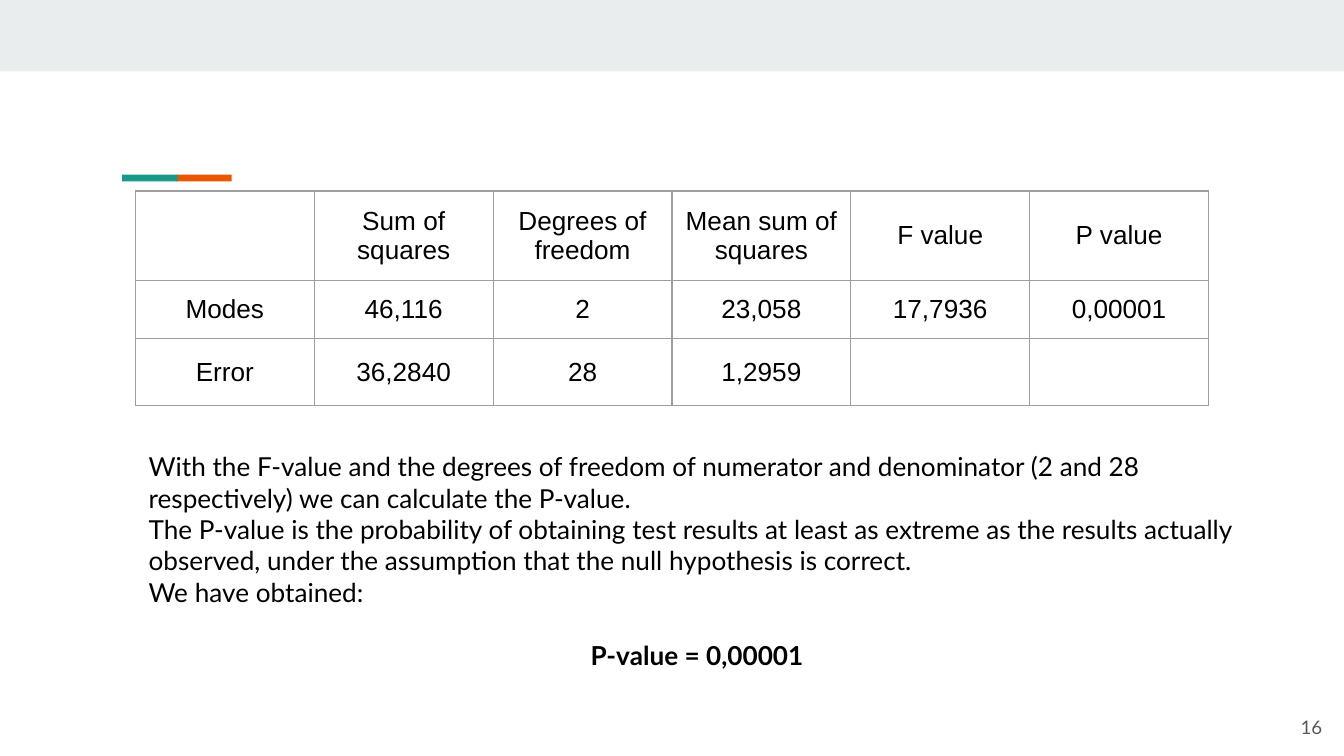
from lxml.etree import fromstring
from pptx import Presentation
from pptx.dml.color import RGBColor
from pptx.enum.shapes import MSO_SHAPE as Kind
from pptx.enum.text import MSO_ANCHOR as Anchor, PP_ALIGN as Align
from pptx.util import Cm, Pt

NS = "http://schemas.openxmlformats.org/drawingml/2006/main"
BLACK, GREY = "000000", "595959"
PAD = Cm(0.25)

# left, top, width, height in cm, colour
BAND = (0, 0, 25.4, 1.35, "E9EDEE")
ACCENTS = [
    (1.45, 0, 0.07, 1.49, "EB5600"),
    (0, 0, 0.07, 1.49, "1A9988"),
]
ACCENT_BOX = (2.81, 2.01, 1.07, 2.71)

TABLE = [
    ["", "Sum of squares", "Degrees of freedom", "Mean sum of squares",
     "F value", "P value"],
    ["Modes", "46,116", "2", "23,058", "17,7936", "0,00001"],
    ["Error", "36,2840", "28", "1,2959", "", ""],
]
COL = 3.38
ROWS = [1.68, 1.1, 1.27]

NOTES = [
    "With the F-value and the degrees of freedom of numerator and denominator "
    "(2 and 28 respectively) we can calculate the P-value.",
    "The P-value is the probability of obtaining test results at least as "
    "extreme as the results actually observed, under the assumption that the "
    "null hypothesis is correct.",
    "We have obtained:",
]
RESULT = "P-value = 0,00001"
PAGE = "16"


def paint(part, color):
    part.rgb = RGBColor.from_string(color)


def style(para, size, font, color=BLACK, align=Align.LEFT, bold=False):
    para.alignment = align
    for run in para.runs:
        run.font.size, run.font.name, run.font.bold = Pt(size), font, bold
        paint(run.font.color, color)


def add_bar(shapes, x, y, w, h, color):
    bar = shapes.add_shape(Kind.RECTANGLE, Cm(x), Cm(y), Cm(w), Cm(h))
    bar.shadow.inherit = False
    bar.fill.solid()
    paint(bar.fill.fore_color, color)
    bar.line.fill.background()
    return bar


def add_accent(slide):
    """Lay the upright bars on their side and fit their group to its box."""
    group = slide.shapes.add_group_shape()
    for accent in ACCENTS:
        add_bar(group.shapes, *accent).rotation = 270
    group.left, group.top, group.width, group.height = map(Cm, ACCENT_BOX)


def add_text(slide, x, y, w, h, lines):
    frame = slide.shapes.add_textbox(Cm(x), Cm(y), Cm(w), Cm(h)).text_frame
    frame.word_wrap = True
    frame.margin_left = frame.margin_right = PAD
    frame.margin_top = frame.margin_bottom = PAD
    frame.text = "\n".join(lines)
    return frame


def add_edges(cell):
    """Draw a thin grey line on all four sides of the cell."""
    props = cell._tc.get_or_add_tcPr()
    for i, side in enumerate("LRTB"):
        props.insert(i, fromstring(
            f'<a:ln{side} xmlns:a="{NS}" w="{Pt(0.75)}"><a:solidFill>'
            f'<a:srgbClr val="9E9E9E"/></a:solidFill></a:ln{side}>'))


def add_grid(slide, x, y):
    wide = COL * len(TABLE[0])
    grid = slide.shapes.add_table(len(TABLE), len(TABLE[0]), Cm(x), Cm(y),
                                  Cm(wide), Cm(sum(ROWS))).table
    grid.first_row = grid.horz_banding = False
    for col in grid.columns:
        col.width = Cm(COL)
    for row, high, words in zip(grid.rows, ROWS, TABLE):
        row.height = Cm(high)
        for cell, word in zip(row.cells, words):
            cell.margin_left = cell.margin_right = PAD
            cell.margin_top = cell.margin_bottom = PAD
            cell.vertical_anchor = Anchor.MIDDLE
            cell.fill.background()
            add_edges(cell)
            cell.text = word
            style(cell.text_frame.paragraphs[0], 14, "Arial",
                  align=Align.CENTER)


def main():
    deck = Presentation()
    deck.slide_width, deck.slide_height = Cm(25.4), Cm(14.29)
    slide = deck.slides.add_slide(deck.slide_layouts[6])

    add_bar(slide.shapes, *BAND)
    add_accent(slide)

    page = add_text(slide, 23.72, 13.19, 1.52, 1.09, [PAGE])
    page.vertical_anchor = Anchor.MIDDLE
    style(page.paragraphs[0], 10, "Lato", GREY, Align.RIGHT)

    body = add_text(slide, 2.56, 8.27, 21.23, 5.31, NOTES + [RESULT])
    *notes, result = body.paragraphs
    for para in notes:
        style(para, 14, "Lato")
    style(result, 14, "Lato", align=Align.CENTER, bold=True)
    result.space_before = Pt(17)

    add_grid(slide, 2.56, 3.61)
    deck.save("out.pptx")


if __name__ == "__main__":
    main()
